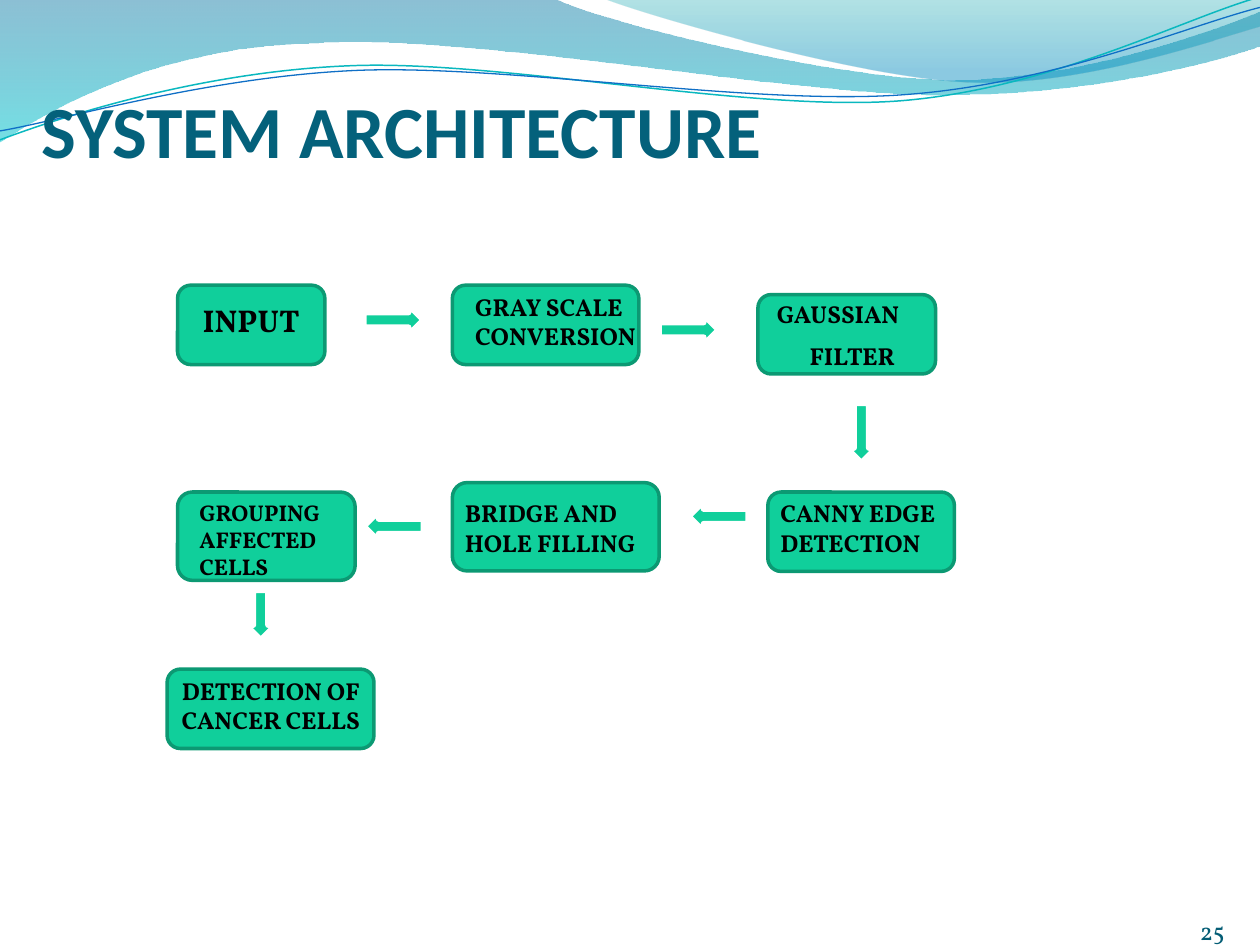
"""Build the system architecture flow slide with its wave header."""
from pptx import Presentation
from pptx.dml.color import RGBColor
from pptx.enum.shapes import MSO_SHAPE
from pptx.enum.text import MSO_ANCHOR, PP_ALIGN
from pptx.oxml.ns import qn
from pptx.util import Cm, Pt
from lxml.etree import SubElement

GREEN = RGBColor(0x10, 0xCF, 0x9B)
DARK_GREEN = RGBColor(0x0C, 0x99, 0x73)
WHITE = RGBColor(0xFF, 0xFF, 0xFF)
BLACK = RGBColor(0, 0, 0)
TITLE_BLUE = RGBColor(0x04, 0x61, 0x7B)
NUMBER_BLUE = RGBColor(0x04, 0x5D, 0x75)
DEEP_BLUE = RGBColor(0x00, 0x74, 0xA1)
CYAN = RGBColor(0x00, 0xC6, 0xCF)
TEAL = RGBColor(0x00, 0xA1, 0xA9)
SKY_BLUE = RGBColor(0x00, 0x8B, 0xBF)
LINE_TEAL = RGBColor(0x0A, 0xB8, 0xBF)
LINE_BLUE = RGBColor(0x0F, 0x6F, 0xC6)


def add_wave(shapes, start, segments, closed):
    """Draw straight (x, y) and cubic (x1, y1, x2, y2, x, y) segments."""
    points = [(Cm(segment[i]), Cm(segment[i + 1]))
              for segment in segments for i in range(0, len(segment), 2)]
    builder = shapes.build_freeform(Cm(start[0]), Cm(start[1]))
    builder.add_line_segments(points, close=closed)
    wave = builder.convert_to_shape()
    wave.shadow.inherit = False
    steps = iter(list(wave.element.iter(qn("a:lnTo"))))
    for segment in segments:
        first = next(steps)
        if len(segment) == 6:
            curve = SubElement(first.getparent(), qn("a:cubicBezTo"))
            first.addprevious(curve)
            for step in (first, next(steps), next(steps)):
                curve.append(step[0])
                step.getparent().remove(step)
    return wave


def write_text(shape, text, alignment, font_values):
    frame = shape.text_frame
    frame.word_wrap = True
    frame.text = text
    for paragraph in frame.paragraphs:
        paragraph.alignment = alignment
        for run in paragraph.runs:
            for name, value in font_values.items():
                if name == "color":
                    run.font.color.rgb = value
                else:
                    setattr(run.font, name, value)
    return frame


presentation = Presentation()
presentation.slide_width = Cm(25.4)
presentation.slide_height = Cm(19.05)
slide = presentation.slides.add_slide(presentation.slide_layouts[5])
shapes = slide.shapes

bands = [
    ((0, 0), [(11.18, -0.03), (12.09, 0.43, 16.87, 1.6, 19.25, 1.6),
              (21.67, 1.6, 24.33, 0.66, 25.4, 0.23), (25.43, 0.91),
              (24.97, 1.12, 22.1, 1.93, 18.95, 1.91),
              (15.8, 1.91, 9.7, 0.71, 6.53, 0.86),
              (3.25, 0.91, 1.17, 2.11, -0.03, 2.87), (0, 0)],
     [(0, DEEP_BLUE, 45), (1, CYAN, 55)]),
    ((12.17, -0.03), [(12.93, 0.28, 17.32, 1.57, 19.53, 1.65),
                      (21.74, 1.75, 24.41, 0.81, 25.4, 0.53),
                      (25.4, 0), (12.17, -0.03)],
     [(0, TEAL, 30), (0.8, SKY_BLUE, 45)]),
]
for start, segments, stops in bands:
    band = add_wave(shapes, start, segments, True)
    band.line.fill.background()
    band.fill.gradient()
    band.fill.gradient_angle = 270
    for stop, (position, color, opacity) in zip(band.fill.gradient_stops, stops):
        stop.position = position
        stop.color.rgb = color
    for color_element, (_, _, opacity) in zip(band.element.iter(qn("a:srgbClr")), stops):
        SubElement(color_element, qn("a:alpha")).set("val", str(opacity * 1000))

wave_lines = [
    ((-0.05, 2.22), [(1.19, 1.82, 4.02, 1.04, 7.05, 1.06),
                     (10.05, 1.07, 15.02, 2.37, 18.08, 2.29),
                     (21.13, 2.2, 23.87, 0.91, 25.41, 0.55)], LINE_TEAL, 0.85),
    ((-0.04, 2.04), [(1.16, 1.9, 4.18, 1.15, 7.2, 1.16),
                     (10.25, 1.18, 15.13, 2.25, 18.18, 2.17),
                     (21.21, 2.1, 23.93, 1.06, 25.45, 0.75)], LINE_BLUE, 0.75),
]
for start, segments, color, width in wave_lines:
    wave_line = add_wave(shapes, start, segments, False)
    wave_line.rotation = 357.3
    wave_line.fill.background()
    wave_line.line.color.rgb = color
    wave_line.line.width = Pt(width)

box_places = [
    (3.58, 5.75, 2.97, 1.6), (9.12, 5.75, 3.76, 1.6), (15.28, 5.94, 3.58, 1.6),
    (15.48, 9.92, 3.76, 1.6), (9.12, 9.73, 4.17, 1.78), (3.58, 9.92, 3.58, 1.78),
    (3.37, 13.49, 4.17, 1.6),
]
arrow_places = [
    (7.34, 6.16, 1.19, 0), (13.29, 6.36, 1.19, 0), (16.77, 8.44, 1.19, 90),
    (13.89, 10.12, 1.19, 180), (7.34, 10.32, 1.19, 180), (4.76, 12.11, 0.99, 90),
]
flow_shapes = [(MSO_SHAPE.ROUNDED_RECTANGLE, place, 0, DARK_GREEN, 2)
               for place in box_places]
flow_shapes += [(MSO_SHAPE.RIGHT_ARROW, (left, top, width, 0.58), rotation, WHITE, 3)
                for left, top, width, rotation in arrow_places]
for kind, place, rotation, line_color, line_width in flow_shapes:
    shape = shapes.add_shape(kind, *map(Cm, place))
    shape.rotation = rotation
    shape.shadow.inherit = False
    shape.fill.solid()
    shape.fill.fore_color.rgb = GREEN
    shape.line.color.rgb = line_color
    shape.line.width = Pt(line_width)

LEFT, CENTER = PP_ALIGN.LEFT, PP_ALIGN.CENTER
labels = [
    ("INPUT", (3.58, 5.95, 2.97, 1.8), 18, CENTER),
    ("GRAY SCALE\nCONVERSION", (9.33, 5.76, 3.96, 2.31), 14, LEFT),
    ("GAUSSIAN", (15.41, 5.9, 4.45, 1.5), 14, LEFT),
    ("FILTER", (16.07, 6.76, 2.97, 1.7), 14, LEFT),
    ("CANNY EDGE DETECTION", (15.48, 9.92, 4.37, 1.45), 14, LEFT),
    ("BRIDGE AND HOLE FILLING", (9.12, 9.92, 4.78, 1.45), 14, LEFT),
    ("GROUPING AFFECTED CELLS", (3.77, 9.92, 3.58, 2.49), 13, LEFT),
    ("DETECTION OF CANCER CELLS", (2.78, 13.5, 5.36, 2.24), 14, CENTER),
]
for text, place, size, alignment in labels:
    label = shapes.add_textbox(*map(Cm, place))
    write_text(label, text, alignment,
               {"name": "Vollkorn", "size": Pt(size), "bold": True, "color": BLACK})

number = shapes.add_textbox(Cm(23.42), Cm(18.03), Cm(1.27), Cm(1.02))
number_frame = write_text(number, "25", PP_ALIGN.RIGHT,
                          {"name": "Vollkorn", "size": Pt(14), "color": NUMBER_BLUE})
number_frame.vertical_anchor = MSO_ANCHOR.BOTTOM
for margin in ("margin_left", "margin_top", "margin_right", "margin_bottom"):
    setattr(number_frame, margin, 0)

title = shapes.title
title_place = {"left": Cm(0.59), "top": Cm(1.59), "width": Cm(23.01), "height": Cm(2.06)}
for name, value in title_place.items():
    setattr(title, name, value)
title_frame = write_text(title, "SYSTEM ARCHITECTURE", LEFT,
                         {"name": "Calibri", "size": Pt(42), "bold": True,
                          "color": TITLE_BLUE})
title_frame.vertical_anchor = MSO_ANCHOR.TOP
shapes.element.append(title.element)

presentation.save("out.pptx")
